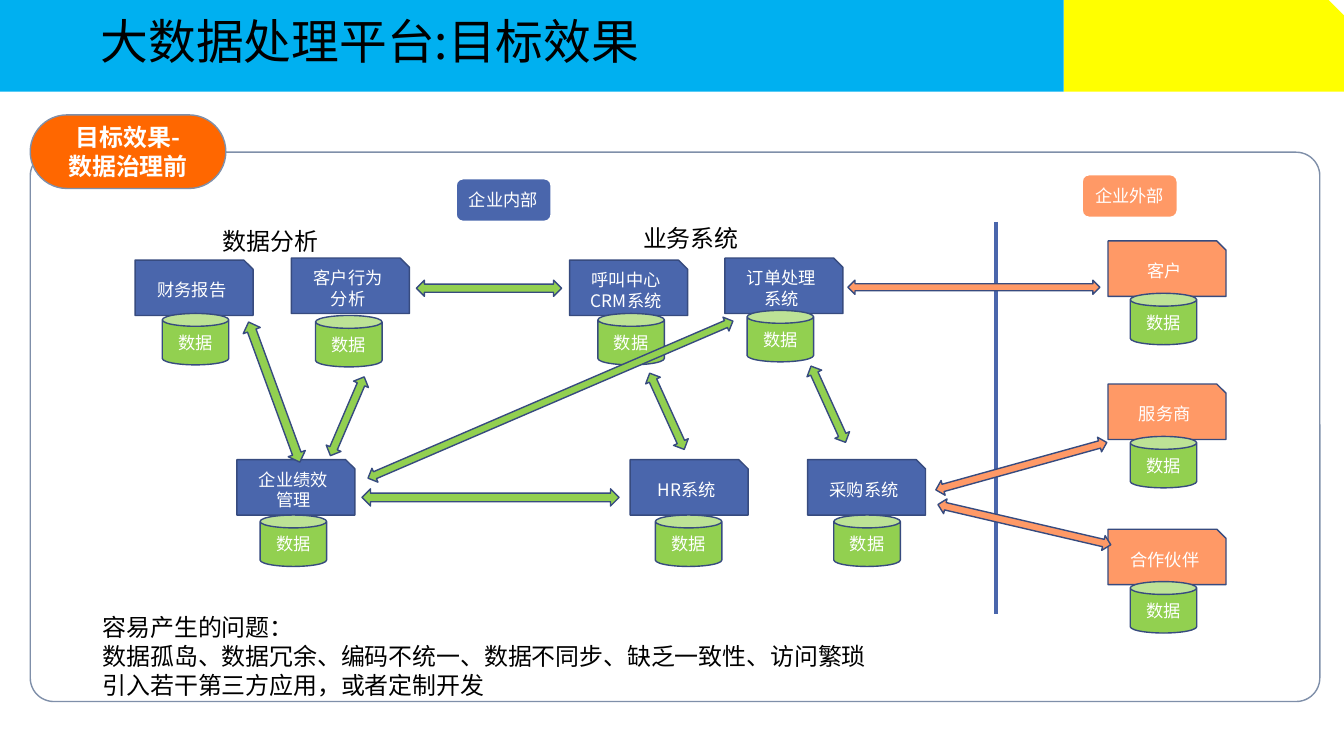
from pptx import Presentation
from pptx import util as u
from pptx.dml.color import RGBColor
from pptx.enum import shapes, text
from pptx.oxml import ns
from lxml import etree

BLACK = RGBColor(0x00, 0x00, 0x00)
WHITE = RGBColor(0xFF, 0xFF, 0xFF)
CYAN = RGBColor(0x00, 0xB0, 0xF0)
YELLOW = RGBColor(0xFF, 0xFF, 0x00)
ORANGE = RGBColor(0xFF, 0x67, 0x00)
PEACH = RGBColor(0xFF, 0x99, 0x66)
BLUE = RGBColor(0x4A, 0x66, 0xAC)
NAVY = RGBColor(0x37, 0x4B, 0x7F)
GREEN = RGBColor(0x92, 0xD0, 0x50)
GRAY = RGBColor(0x7F, 0x8F, 0xA9)
KIND = shapes.MSO_SHAPE


class Pen:
    """Draws styled elements on the current slide."""

    font = "Noto Sans CJK SC"
    small, mid, large = 12.3, 17.1, 34.1

    def __init__(self, slide):
        self.slide = slide

    def words(self, frame, lines, size, color, align, bold=False):
        for i, line in enumerate(lines):
            par = frame.paragraphs[0] if i == 0 else frame.add_paragraph()
            par.alignment = align
            run = par.add_run()
            run.text = line
            run.font.size = u.Pt(size)
            run.font.name = self.font
            run.font.bold = bold
            run.font.color.rgb = color
            east = etree.SubElement(run._r.get_or_add_rPr(), ns.qn("a:ea"))
            east.set("typeface", self.font)

    def title(self, line, *spot):
        head = self.slide.shapes.title
        head.left, head.top, head.width, head.height = map(u.Inches, spot)
        frame = head.text_frame
        frame.auto_size = text.MSO_AUTO_SIZE.NONE
        frame.vertical_anchor = text.MSO_ANCHOR.MIDDLE
        frame.margin_left = u.Inches(0.21)
        self.words(frame, [line], self.large, BLACK, text.PP_ALIGN.LEFT)
        frame.paragraphs[0].line_spacing = 0.9
        self.slide.shapes._spTree.append(head._element)

    def shape(self, kind, spot, fill=None, edge=NAVY, lines=(), size=small,
              bold=False, width=1, round=None, turn=0):
        item = self.slide.shapes.add_shape(kind, *map(u.Inches, spot))
        item.shadow.inherit = False
        item.rotation = turn
        if round is not None:
            item.adjustments[0] = round
        if fill is None:
            item.fill.background()
        else:
            item.fill.solid()
            item.fill.fore_color.rgb = fill
        if edge is None:
            item.line.fill.background()
        else:
            item.line.color.rgb = edge
            item.line.width = u.Pt(width)
        frame = item.text_frame
        frame.word_wrap = True
        frame.vertical_anchor = text.MSO_ANCHOR.MIDDLE
        frame.margin_left = frame.margin_right = u.Inches(0.09)
        frame.margin_top = frame.margin_bottom = u.Inches(0.05)
        self.words(frame, lines, size, WHITE, text.PP_ALIGN.CENTER, bold)

    def system(self, left, top, lines, fill, shift, drop):
        self.shape(KIND.SNIP_1_RECTANGLE, (left, top, 1.17, 0.55), fill, lines=lines)
        self.shape(KIND.CAN, (left + shift, top + drop, 0.66, 0.51), GREEN, lines=["数据"])

    def arrow(self, spot, turn, fill):
        self.shape(KIND.LEFT_RIGHT_ARROW, spot, fill, turn=turn)

    def tag(self, left, top, line, fill):
        self.shape(KIND.ROUNDED_RECTANGLE, (left, top, 0.95, 0.43), fill, WHITE, [line], width=1.5)

    def rule(self, left, top, end):
        line = self.slide.shapes.add_connector(
            shapes.MSO_CONNECTOR.STRAIGHT, *map(u.Inches, (left, top, left, end)))
        line.line.color.rgb = BLUE
        line.line.width = u.Pt(3)
        etree.SubElement(line._element.spPr, ns.qn("a:effectLst"))

    def note(self, spot, lines):
        frame = self.slide.shapes.add_textbox(*map(u.Inches, spot)).text_frame
        frame.word_wrap = False
        frame.auto_size = text.MSO_AUTO_SIZE.SHAPE_TO_FIT_TEXT
        self.words(frame, lines, self.mid, BLACK, text.PP_ALIGN.LEFT)


def main():
    deck = Presentation()
    deck.slide_width, deck.slide_height = u.Inches(13.33), u.Inches(7.5)
    pen = Pen(deck.slides.add_slide(deck.slide_layouts[5]))

    pen.shape(KIND.SNIP_1_RECTANGLE, (10.55, 0, 2.78, 0.91), YELLOW, None)
    pen.shape(KIND.RECTANGLE, (0, 0, 10.55, 0.91), CYAN, None)
    pen.shape(KIND.ROUNDED_RECTANGLE, (0.3, 1.51, 12.79, 5.45), edge=GRAY, round=0.043)
    pen.title("大数据处理平台:目标效果", 0.79, 0.13, 10.22, 0.62)
    pen.shape(KIND.ROUNDED_RECTANGLE, (0.3, 1.14, 1.94, 0.73), ORANGE, GRAY,
              ["目标效果-", "数据治理前"], pen.mid, True, round=0.5)
    pen.rule(9.88, 2.2, 6.09)

    for left, top, lines, shift, drop in [
        (1.34, 2.58, ["财务报告"], 0.27, 0.53),
        (2.89, 2.56, ["客户行为", "分析"], 0.24, 0.57),
        (5.65, 2.58, ["呼叫中心", "CRM系统"], 0.28, 0.53),
        (7.19, 2.56, ["订单处理", "系统"], 0.22, 0.52),
        (2.35, 4.56, ["企业绩效", "管理"], 0.23, 0.55),
        (6.25, 4.56, ["HR系统"], 0.25, 0.55),
        (8.01, 4.56, ["采购系统"], 0.26, 0.55),
    ]:
        pen.system(left, top, lines, BLUE, shift, drop)
    for top, name in [(2.39, "客户"), (3.81, "服务商"), (5.25, "合作伙伴")]:
        pen.system(10.99, top, [name], PEACH, 0.22, 0.52)

    for spot, turn in [
        ((1.98, 3.8, 1.48, 0.18), 69.9),
        ((3.02, 4.05, 0.85, 0.16), 293.2),
        ((4.13, 2.78, 1.44, 0.16), 0),
        ((3.49, 3.89, 3.94, 0.15), 336.7),
        ((3.59, 4.85, 2.55, 0.17), 0),
        ((7.8, 3.93, 0.83, 0.16), 245.6),
        ((6.2, 4, 0.83, 0.16), 245.6),
    ]:
        pen.arrow(spot, turn, GREEN)
    for spot, turn in [
        ((8.41, 2.78, 2.5, 0.14), 0),
        ((9.25, 4.55, 1.76, 0.15), 344.5),
        ((9.28, 5.13, 1.76, 0.15), 13.1),
    ]:
        pen.arrow(spot, turn, PEACH)

    pen.note((0.92, 6.03, 7.83, 0.96), [
        "容易产生的问题：",
        "数据孤岛、数据冗余、编码不统一、数据不同步、缺乏一致性、访问繁琐",
        "引入若干第三方应用，或者定制开发",
    ])
    pen.note((2.11, 2.2, 1.16, 0.39), ["数据分析"])
    pen.note((6.28, 2.17, 1.16, 0.39), ["业务系统"])
    pen.tag(4.52, 1.77, "企业内部", BLUE)
    pen.tag(10.73, 1.73, "企业外部", PEACH)
    deck.save("out.pptx")


if __name__ == "__main__":
    main()
